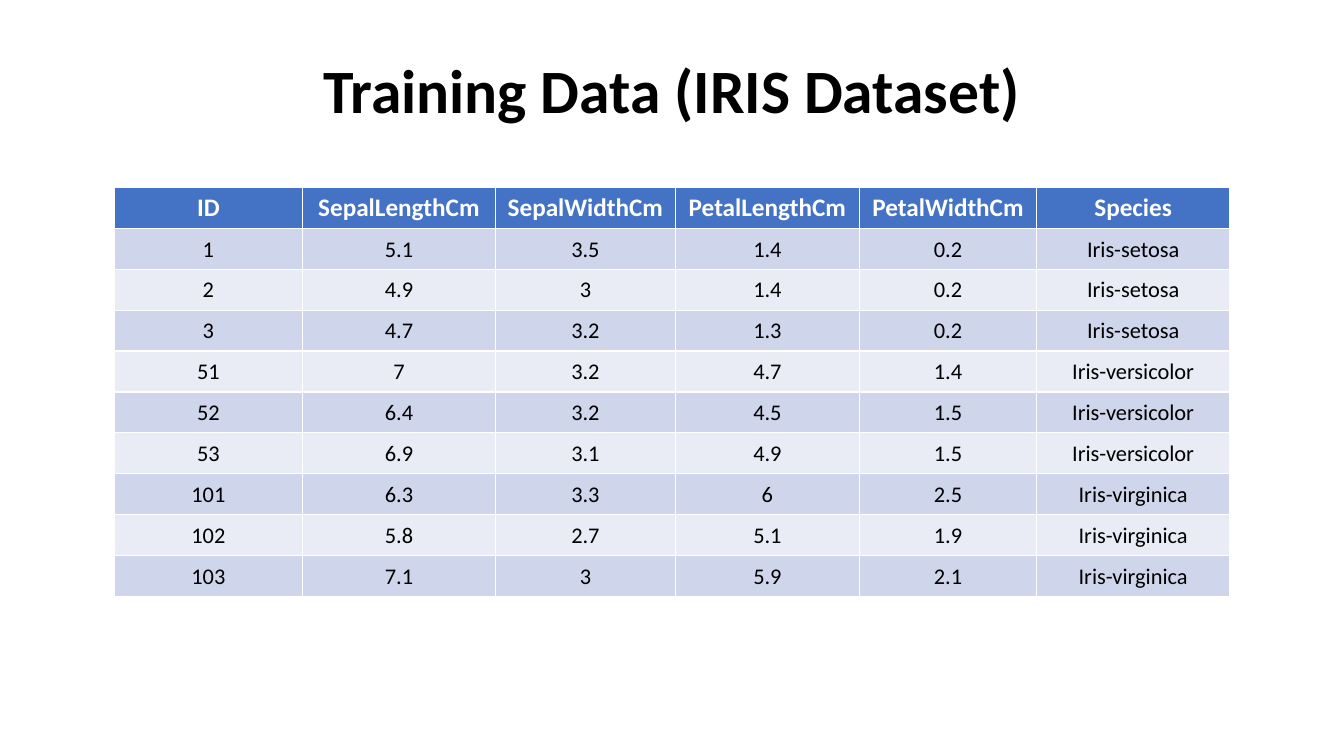
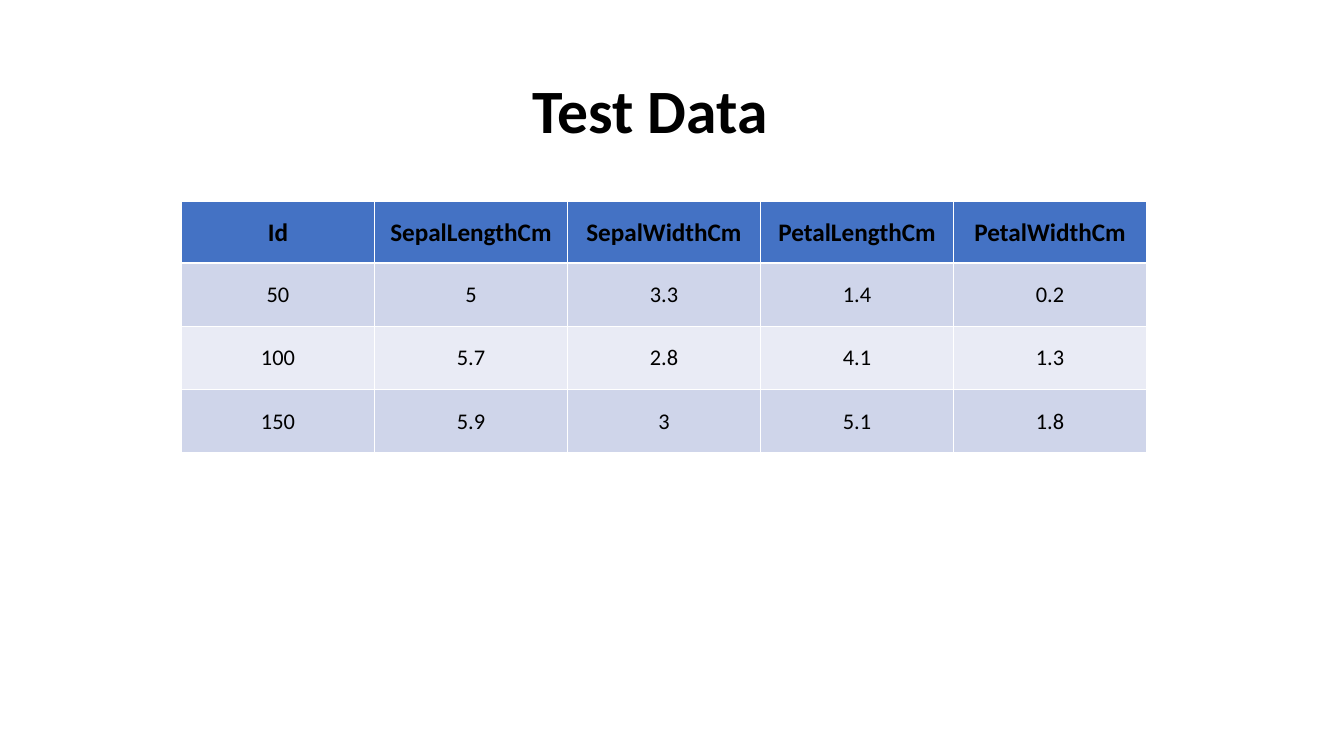
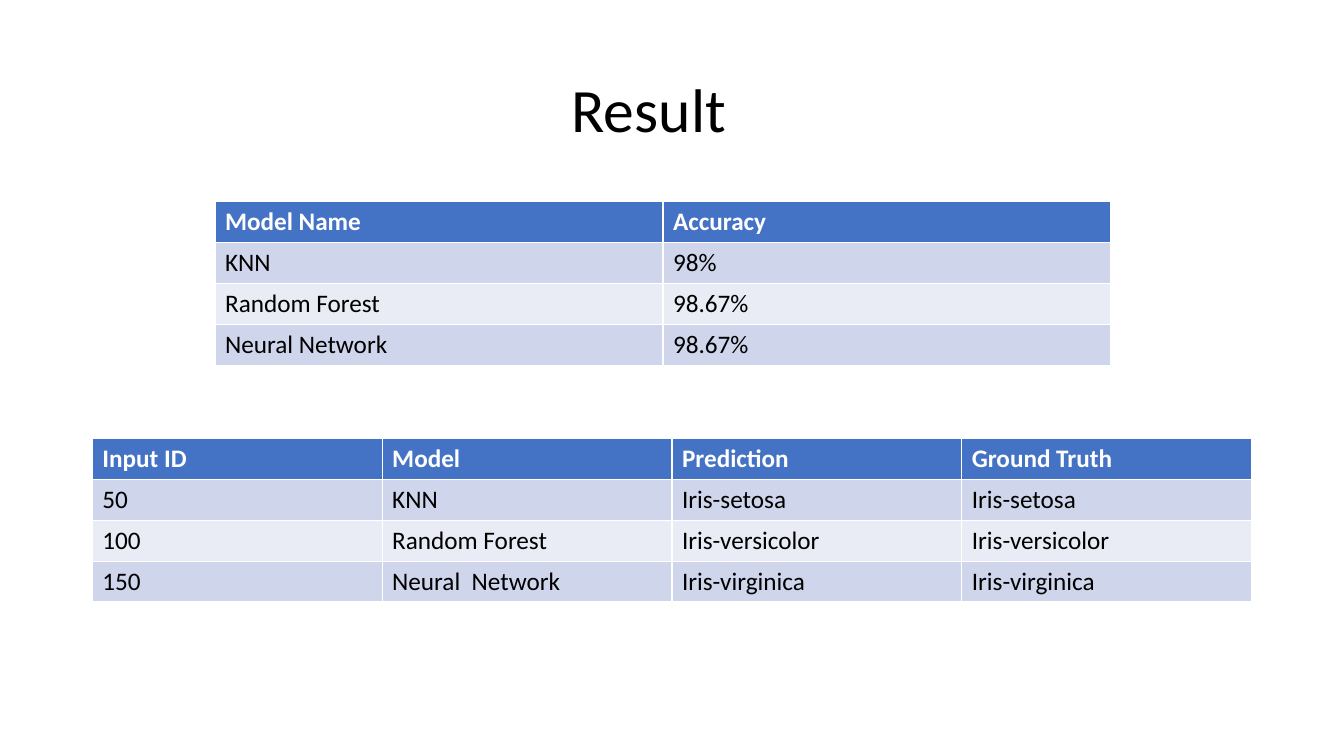
from pptx import Presentation
from pptx.dml.color import RGBColor
from pptx.enum import text
from pptx.util import Pt

COLORS = {"header": "4472C4", "odd": "CFD5EA", "even": "E9EBF5",
          "black": "000000", "white": "FFFFFF"}
FONT = "Calibri"
THIN = 0.7
CENTER = text.PP_ALIGN.CENTER

prs = Presentation()
prs.slide_width, prs.slide_height = Pt(960), Pt(540)


def style_runs(p, size, color, bold):
    for r in p.runs:
        r.font.name = FONT
        r.font.size = Pt(size)
        r.font.bold = bold
        r.font.color.rgb = RGBColor.from_string(COLORS[color])


def add_data_table(s, left, top, widths, heights, rows, body_size=16,
                   header_color="white", centered=True, thin_header=False):
    tbl = s.shapes.add_table(len(rows), len(widths), Pt(left), Pt(top),
                             Pt(sum(widths)), Pt(sum(heights))).table
    for col, width in zip(tbl.columns, widths):
        col.width = Pt(width)
    for i, (row, height) in enumerate(zip(rows, heights)):
        tbl.rows[i].height = Pt(height)
        fill = "header" if i == 0 else "odd" if i % 2 else "even"
        for j, value in enumerate(row):
            cell = tbl.cell(i, j)
            cell.fill.solid()
            cell.fill.fore_color.rgb = RGBColor.from_string(COLORS[fill])
            p = cell.text_frame.paragraphs[0]
            p.text = value
            style_runs(p, 18 if i == 0 else body_size,
                       header_color if i == 0 else "black", i == 0)
            if centered:
                p.alignment = CENTER
                cell.vertical_anchor = text.MSO_ANCHOR.MIDDLE
                if i or thin_header:
                    cell.margin_left = cell.margin_right = cell.margin_top = Pt(THIN)
                    cell.margin_bottom = Pt(0)


titles = [
    ("Training Data (IRIS Dataset)", 66, 29, 75.6, 7.2, True),
    ("Test Data", 66, 28.8, 104.4, 38.2, True),
    ("Result", 60, 44, 73.4, 28.4, False),
]
slides = []
for title, left, top, height, margin_right, bold in titles:
    s = prs.slides.add_slide(prs.slide_layouts[5])
    sp = s.shapes.title
    sp.left, sp.top, sp.width, sp.height = Pt(left), Pt(top), Pt(828), Pt(height)
    tf = sp.text_frame
    tf.text = title
    tf.word_wrap = True
    tf.auto_size = text.MSO_AUTO_SIZE.NONE
    tf.vertical_anchor = text.MSO_ANCHOR.MIDDLE
    tf.margin_right = Pt(margin_right)
    p = tf.paragraphs[0]
    p.alignment = CENTER
    p.line_spacing = 0.9
    style_runs(p, 44, "black", bold)
    slides.append(s)
training, test, result = slides

measures = ["SepalLengthCm", "SepalWidthCm", "PetalLengthCm", "PetalWidthCm"]
row_height = 29.2

add_data_table(training, 81.7, 134, [134.3, 138, 128.4, 131.6, 126.5, 138],
               [row_height] * 10, [
    ["ID", *measures, "Species"],
    ["1", "5.1", "3.5", "1.4", "0.2", "Iris-setosa"],
    ["2", "4.9", "3", "1.4", "0.2", "Iris-setosa"],
    ["3", "4.7", "3.2", "1.3", "0.2", "Iris-setosa"],
    ["51", "7", "3.2", "4.7", "1.4", "Iris-versicolor"],
    ["52", "6.4", "3.2", "4.5", "1.5", "Iris-versicolor"],
    ["53", "6.9", "3.1", "4.9", "1.5", "Iris-versicolor"],
    ["101", "6.3", "3.3", "6", "2.5", "Iris-virginica"],
    ["102", "5.8", "2.7", "5.1", "1.9", "Iris-virginica"],
    ["103", "7.1", "3", "5.9", "2.1", "Iris-virginica"],
])

add_data_table(test, 129.6, 144, [137.9] * 5, [43.8] + [45.2] * 3, [
    ["Id", *measures],
    ["50", "5", "3.3", "1.4", "0.2"],
    ["100", "5.7", "2.8", "4.1", "1.3"],
    ["150", "5.9", "3", "5.1", "1.8"],
], header_color="black", thin_header=True)

add_data_table(result, 66, 313.2, [207] * 4, [row_height] * 4, [
    ["Input ID", "Model", "Prediction", "Ground Truth"],
    ["50", "KNN", "Iris-setosa", "Iris-setosa"],
    ["100", "Random Forest", "Iris-versicolor", "Iris-versicolor"],
    ["150", "Neural  Network", "Iris-virginica", "Iris-virginica"],
], body_size=18, centered=False)

add_data_table(result, 153.6, 144, [320] * 2, [row_height] * 4, [
    ["Model Name", "Accuracy"],
    ["KNN", "98%"],
    ["Random Forest", "98.67%"],
    ["Neural Network", "98.67%"],
], body_size=18, centered=False)

prs.save("out.pptx")
